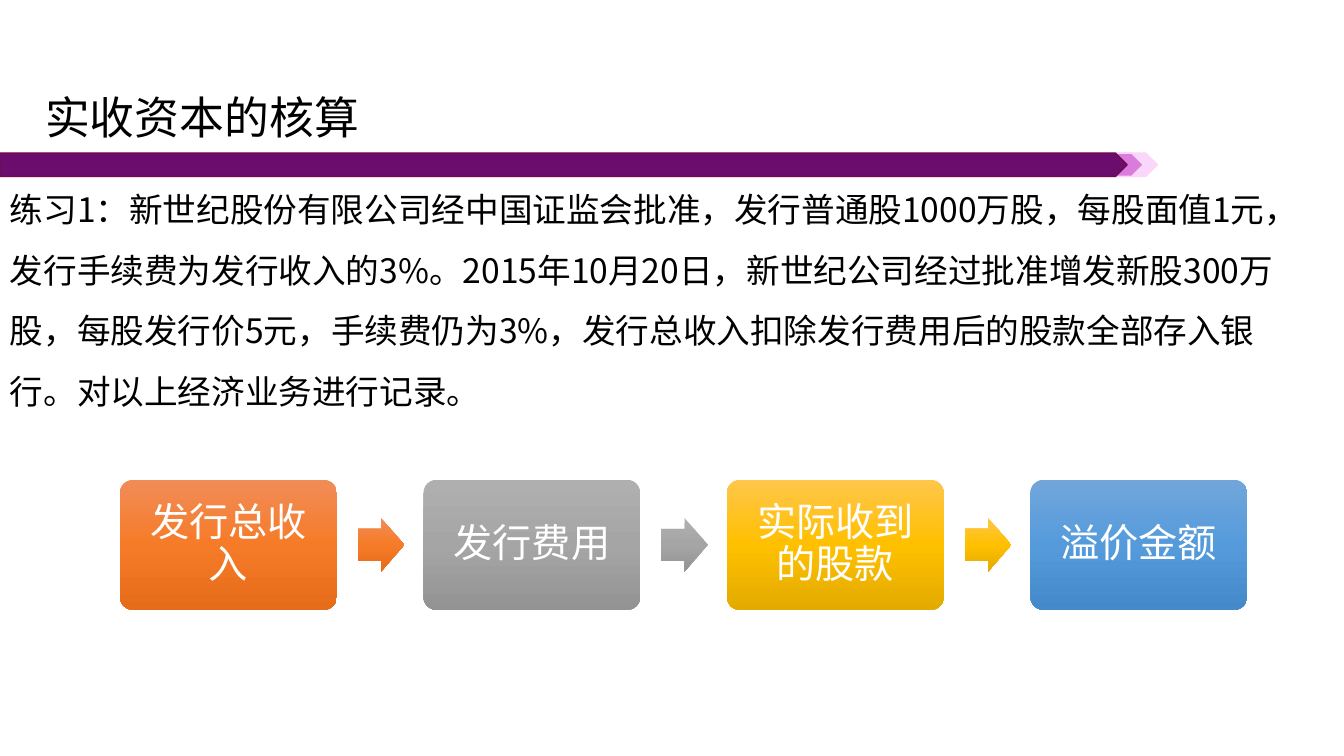
from copy import deepcopy

from pptx import Presentation
from pptx.dml.color import RGBColor
from pptx.enum.shapes import MSO_SHAPE as Shape
from pptx.enum.text import MSO_ANCHOR as Anchor, MSO_AUTO_SIZE as Auto, PP_ALIGN as Align
from pptx.oxml.ns import qn
from pptx.oxml.xmlchemy import OxmlElement as Element
from pptx.util import Inches, Pt

COLORS = {
    "text": "000000", "white": "FFFFFF",
    "pale": "F9D6FA", "pink": "DA7CDC", "plum": "6A0D6C", "edge": "710A53",
}
# Top, middle and bottom of each gradient
SHADES = {
    "orange": ("F18C57", "F67B28", "E56C19"),
    "gray": ("AFAFAF", "A5A5A5", "939393"),
    "gold": ("FFC64B", "FFC000", "E3AB00"),
    "blue": ("71A6DB", "559BDB", "448ACA"),
}
TITLE = "实收资本的核算"
TASK = ("练习1：新世纪股份有限公司经中国证监会批准，发行普通股1000万股，每股面值1元，"
        "发行手续费为发行收入的3%。2015年10月20日，新世纪公司经过批准增发新股300万股，"
        "每股发行价5元，手续费仍为3%，发行总收入扣除发行费用后的股款全部存入银行。"
        "对以上经济业务进行记录。")
STEPS = [("发行总收入", "orange"), ("发行费用", "gray"),
         ("实际收到的股款", "gold"), ("溢价金额", "blue")]


class Deck:
    face = "Noto Sans CJK SC"

    def __init__(self, slide):
        self.slide = slide

    def fill_text(self, frame, text, size, color, space):
        para = frame.paragraphs[0]
        para.text = text
        para.line_spacing = space
        font = para.font
        font.name, font.size = self.face, Pt(size)
        font.color.rgb = RGBColor.from_string(COLORS[color])
        east = Element("a:ea")
        east.set("typeface", self.face)
        para._p.pPr.find(qn("a:defRPr")).append(east)
        return para

    def label(self, box, text, size, wrap=True, space=1.0):
        frame = self.slide.shapes.add_textbox(*map(Inches, box)).text_frame
        frame.word_wrap = wrap
        frame.auto_size = Auto.SHAPE_TO_FIT_TEXT
        self.fill_text(frame, text, size, "text", space)

    def shape(self, kind, box, adjust=()):
        item = self.slide.shapes.add_shape(kind, *map(Inches, box))
        item.shadow.inherit = False
        for spot, value in enumerate(adjust):
            item.adjustments[spot] = value
        return item

    def band(self, width, fill, line):
        item = self.shape(Shape.PENTAGON, (0, 1.52, width, 0.23))
        item.fill.solid()
        item.fill.fore_color.rgb = RGBColor.from_string(COLORS[fill])
        item.line.color.rgb = RGBColor.from_string(COLORS[line])
        item.line.width = Pt(1)

    def shade(self, item, name):
        item.line.fill.background()
        item.fill.gradient()
        item.fill.gradient_angle = 270
        stops = item._element.spPr.find(".//" + qn("a:gsLst"))
        stops.insert(1, deepcopy(stops[0]))
        for spot, (stop, tone) in enumerate(zip(item.fill.gradient_stops, SHADES[name])):
            stop.position = spot / 2
            stop.color.rgb = RGBColor.from_string(tone)

    def card(self, left, text, name):
        item = self.shape(Shape.ROUNDED_RECTANGLE, (left, 4.76, 2.15, 1.29), [0.1])
        self.shade(item, name)
        frame = item.text_frame
        frame.word_wrap = True
        frame.vertical_anchor = Anchor.MIDDLE
        frame.margin_left = frame.margin_right = Inches(0.12)
        frame.margin_top = frame.margin_bottom = Inches(0.12)
        self.fill_text(frame, text, 28, "white", 0.9).alignment = Align.CENTER

    def arrow(self, left, name):
        item = self.shape(Shape.RIGHT_ARROW, (left, 5.14, 0.46, 0.53), [0.6, 0.5])
        self.shade(item, name)


def main():
    show = Presentation()
    show.slide_width, show.slide_height = Inches(13.33), Inches(7.5)
    deck = Deck(show.slides.add_slide(show.slide_layouts[6]))

    # Title rule
    for width, fill, line in [(11.48, "pale", "pale"), (11.34, "pink", "pale"),
                              (11.18, "plum", "edge")]:
        deck.band(width, fill, line)

    # Title and exercise
    deck.label((0.35, 0.84, 3.34, 0.64), TITLE, 32, wrap=False)
    deck.label((0, 1.63, 12.83, 2.46), TASK, 24, space=1.5)

    # Steps, with an arrow after each but the last
    for spot, (text, name) in enumerate(STEPS):
        left = 1.19 + spot * 3.01
        deck.card(left, text, name)
        if spot < len(STEPS) - 1:
            deck.arrow(left + 2.36, name)

    show.save("out.pptx")


if __name__ == "__main__":
    main()
